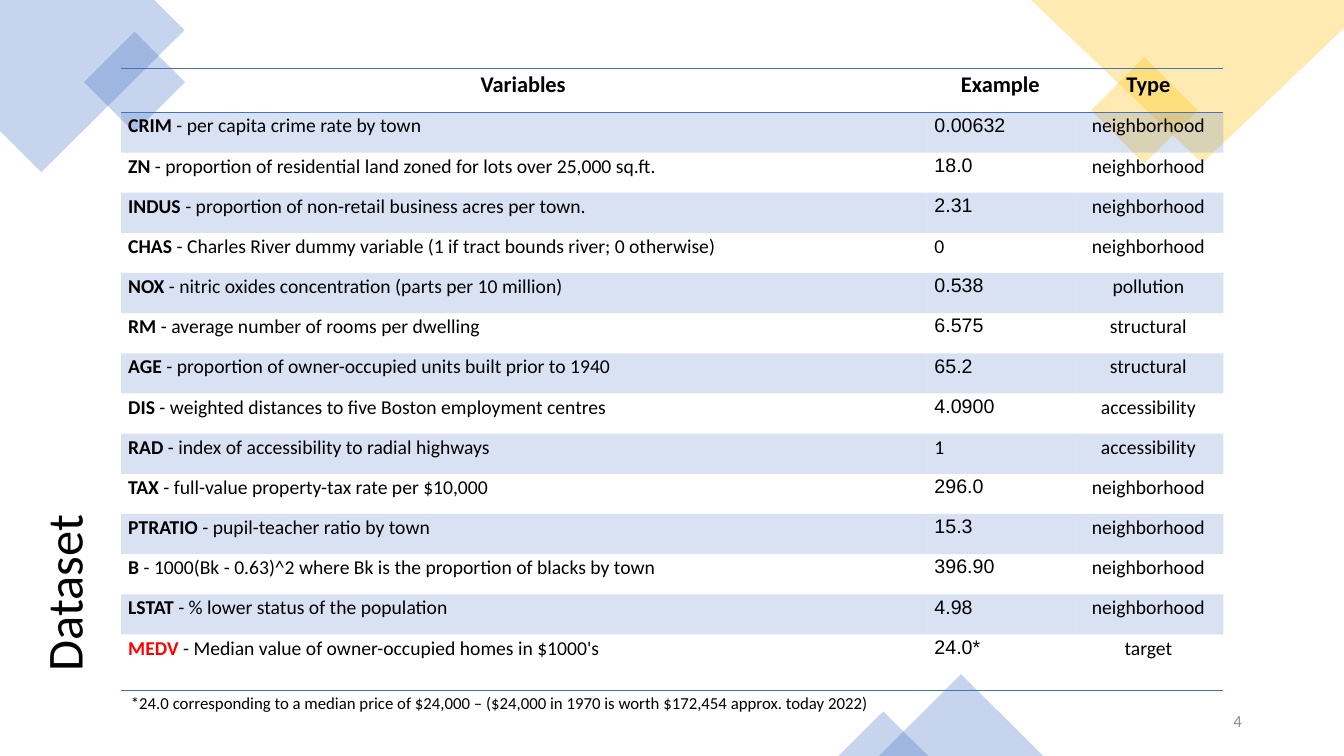
from pptx import Presentation
from pptx import util as u
from pptx.dml.color import RGBColor
from pptx.enum import shapes, text
from pptx.oxml import parse_xml
from pptx.oxml.ns import nsdecls, qn

Cm, Pt = u.Cm, u.Pt
LEFT, CENTER, RIGHT = text.PP_ALIGN.LEFT, text.PP_ALIGN.CENTER, text.PP_ALIGN.RIGHT
MIDDLE = text.MSO_ANCHOR.MIDDLE
BLUE, GOLD, BLACK, RED, GRAY = "4472C4", "FFC000", "000000", "FF0000", "8C8C8C"
PLAIN_TABLE = "{2D5ABB26-0587-4C30-8999-92F81FD0307C}"

HEADER = ("Variables", "Example", "Type")
VARIABLES = [
    ("CRIM", "per capita crime rate by town", "0.00632", "neighborhood"),
    ("ZN", "proportion of residential land zoned for lots over 25,000 sq.ft.", "18.0", "neighborhood"),
    ("INDUS", "proportion of non-retail business acres per town.", "2.31", "neighborhood"),
    ("CHAS", "Charles River dummy variable (1 if tract bounds river; 0 otherwise)", "0", "neighborhood"),
    ("NOX", "nitric oxides concentration (parts per 10 million)", "0.538", "pollution"),
    ("RM", "average number of rooms per dwelling", "6.575", "structural"),
    ("AGE", "proportion of owner-occupied units built prior to 1940", "65.2", "structural"),
    ("DIS", "weighted distances to five Boston employment centres", "4.0900", "accessibility"),
    ("RAD", "index of accessibility to radial highways", "1", "accessibility"),
    ("TAX", "full-value property-tax rate per $10,000", "296.0", "neighborhood"),
    ("PTRATIO", "pupil-teacher ratio by town", "15.3", "neighborhood"),
    ("B", "1000(Bk - 0.63)^2 where Bk is the proportion of blacks by town", "396.90", "neighborhood"),
    ("LSTAT", "% lower status of the population", "4.98", "neighborhood"),
    ("MEDV", "Median value of owner-occupied homes in $1000's", "24.0*", "target"),
]


def rgb(value):
    return RGBColor.from_string(value)


class SlideBuilder:
    def __init__(self, s, font="Calibri"):
        self.s = s
        self.font = font

    def tint(self, target, color, alpha):
        """Solid fill with opacity in percent."""
        target.fill.solid()
        target.fill.fore_color.rgb = rgb(color)
        clr = target.fill.fore_color._xFill.find(qn("a:srgbClr"))
        clr.append(parse_xml(f'<a:alpha {nsdecls("a")} val="{alpha * 1000}"/>'))

    def decorate(self, sp, color):
        self.tint(sp, color, 30)
        sp.line.fill.background()
        sp.shadow.inherit = False

    def preset(self, kind, x, y, w, h, color, rotation=0):
        sp = self.s.shapes.add_shape(kind, Cm(x), Cm(y), Cm(w), Cm(h))
        sp.rotation = rotation
        self.decorate(sp, color)

    def polygon(self, points, color):
        start, *rest = [(Cm(x), Cm(y)) for x, y in points]
        builder = self.s.shapes.build_freeform(*start, scale=1.0)
        builder.add_line_segments(rest, close=True)
        self.decorate(builder.convert_to_shape(), color)

    def add_runs(self, tf, runs, size, align=LEFT):
        """Fill the first paragraph; each run is (text, bold, color, font)."""
        p = tf.paragraphs[0]
        p.alignment = align
        for content, bold, color, font in runs:
            r = p.add_run()
            r.text = content
            r.font.size, r.font.bold, r.font.name = Pt(size), bold, font or self.font
            r.font.color.rgb = rgb(color)
        return p

    def textbox(self, x, y, w, h, content, size, color=BLACK, align=LEFT, anchor=None):
        tf = self.s.shapes.add_textbox(Cm(x), Cm(y), Cm(w), Cm(h)).text_frame
        tf.word_wrap = True
        tf.vertical_anchor = anchor
        self.add_runs(tf, [(content, False, color, None)], size, align)

    def title(self, x, y, w, h, content, size):
        sp = self.s.shapes.title
        sp.left, sp.top, sp.width, sp.height = Cm(x), Cm(y), Cm(w), Cm(h)
        sp.rotation = 270
        sp.text_frame.vertical_anchor = MIDDLE
        p = self.add_runs(sp.text_frame, [(content, False, BLACK, None)], size)
        p.line_spacing = 0.9

    def table(self, x, y, widths, heights):
        frame = self.s.shapes.add_table(len(heights), len(widths), Cm(x), Cm(y),
                                        Cm(sum(widths)), Cm(sum(heights)))
        tbl = frame.table
        tbl.horz_banding = False
        tbl._tbl.tblPr.find(qn("a:tableStyleId")).text = PLAIN_TABLE
        for column, width in zip(tbl.columns, widths):
            column.width = Cm(width)
        for row, height in zip(tbl.rows, heights):
            row.height = Cm(height)
        return tbl

    def cell(self, cell, runs, size, align=LEFT, banded=False, borders=()):
        cell.margin_left, cell.margin_top = Cm(0.18), Cm(0.05)
        cell.margin_right, cell.margin_bottom = Cm(0.23), Cm(0.36)
        self.add_runs(cell.text_frame, runs, size, align)
        if banded:
            self.tint(cell, BLUE, 20)
        else:
            cell.fill.background()
        for i, side in enumerate(borders):
            cell._tc.get_or_add_tcPr().insert(i, parse_xml(
                f'<a:{side} {nsdecls("a")} w="12700"><a:solidFill>'
                f'<a:srgbClr val="{BLUE}"/></a:solidFill></a:{side}>'))


def main():
    prs = Presentation()
    prs.slide_width, prs.slide_height = Cm(33.87), Cm(19.05)
    b = SlideBuilder(prs.slides.add_slide(prs.slide_layouts[5]))
    rect, triangle = shapes.MSO_SHAPE.RECTANGLE, shapes.MSO_SHAPE.ISOSCELES_TRIANGLE

    # Corner decorations
    b.polygon([(3.89, 0), (0, 0), (0, 3.3), (1.04, 4.34), (4.65, 0.76)], BLUE)
    b.preset(rect, 2.49, 1.17, 1.8, 1.8, BLUE, 315)
    b.preset(rect, 27.89, 1.83, 1.9, 1.9, GOLD, 315)
    b.polygon([(33.87, 0), (25.98, 0), (30.3, 4.11), (33.87, 0.71)], GOLD)
    b.preset(triangle, 22.15, 16.99, 4.14, 2.06, BLUE)
    b.preset(triangle, 21.13, 17.93, 2.26, 1.12, BLUE)

    # Table of variables
    heights = [1.04] + [1] * (len(VARIABLES) - 1) + [1.42]
    tbl = b.table(3.05, 1.73, [20.32, 3.73, 3.73], heights)
    for col, label in enumerate(HEADER):
        cell = tbl.cell(0, col)
        cell.vertical_anchor = text.MSO_ANCHOR.BOTTOM
        b.cell(cell, [(label, True, BLACK, None)], 16, CENTER, borders=("lnT", "lnB"))
    for row, (name, meaning, example, kind) in enumerate(VARIABLES, 1):
        name_color = RED if name == "MEDV" else BLACK
        example_font = None if len(example) == 1 else "Arial"
        contents = [
            ([(name, True, name_color, None), (f" - {meaning}", False, BLACK, None)], LEFT),
            ([(example, False, BLACK, example_font)], LEFT),
            ([(kind, False, BLACK, None)], CENTER),
        ]
        borders = ("lnB",) if row == len(VARIABLES) else ()
        for col, (runs, align) in enumerate(contents):
            b.cell(tbl.cell(row, col), runs, 14, align, row % 2 == 1, borders)

    # Footnote, title and slide number
    b.textbox(3.05, 17.32, 28.35, 0.76,
              "*24.0 corresponding to a median price of $24,000 – "
              "($24,000 in 1970 is worth $172,454 approx. today 2022)", 12)
    b.title(-6.05, 8.2, 15.44, 2.49, "Dataset", 36)
    b.textbox(23.93, 17.65, 7.62, 1.02, "4", 12, GRAY, RIGHT, MIDDLE)

    prs.save("out.pptx")


if __name__ == "__main__":
    main()
